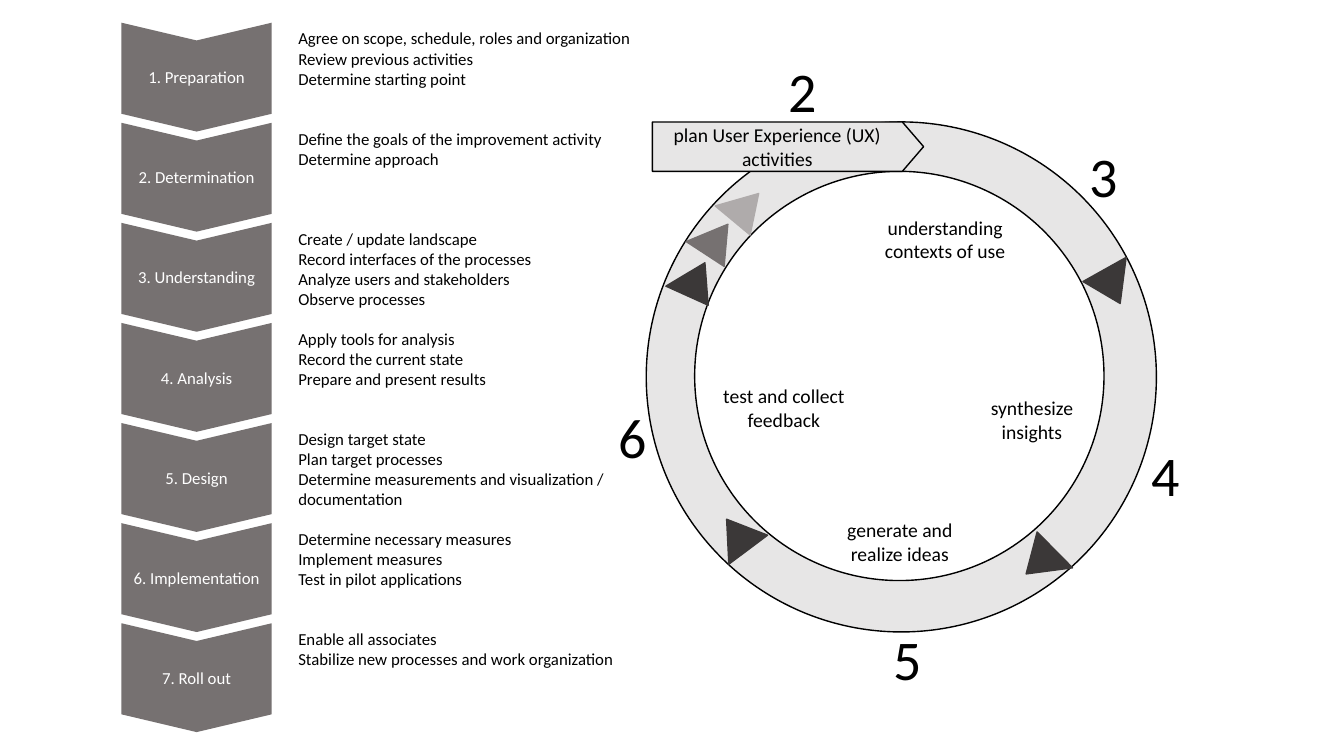
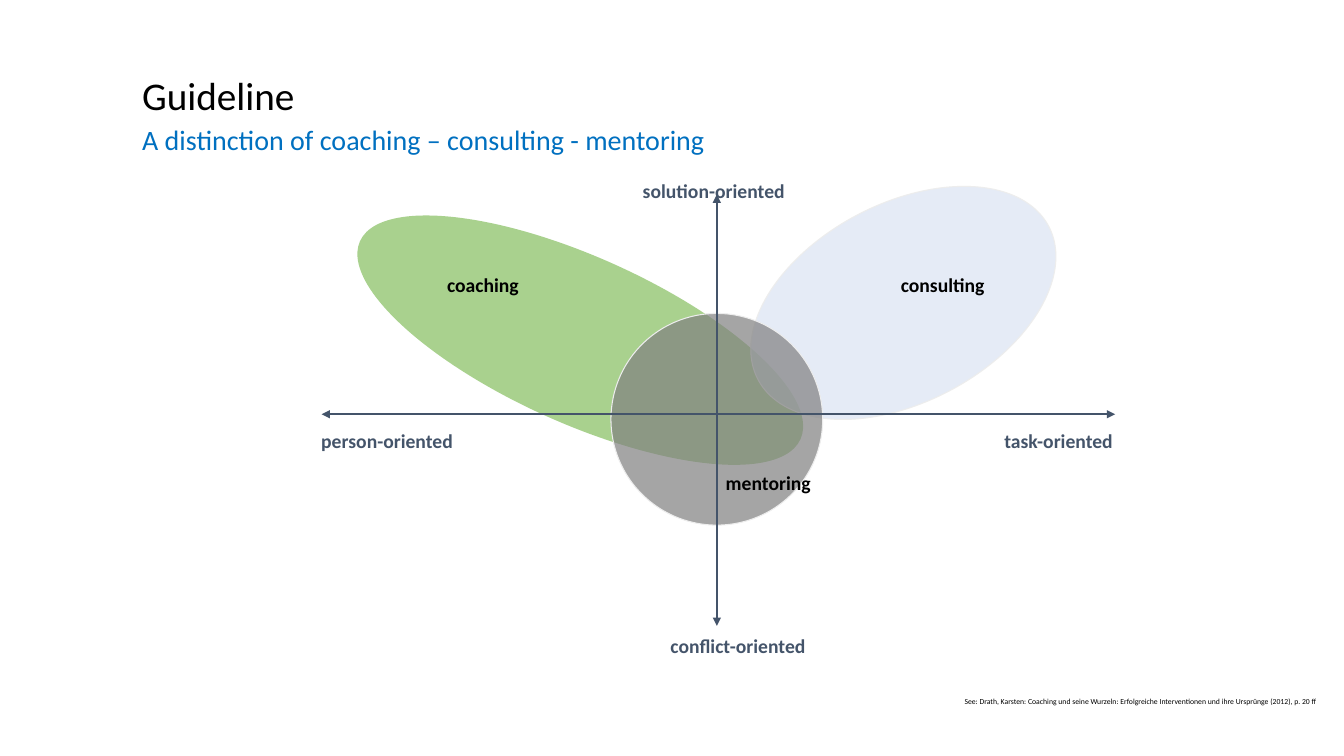
from lxml.etree import SubElement
from pptx import Presentation
from pptx.dml.color import RGBColor
from pptx.enum.shapes import MSO_CONNECTOR, MSO_SHAPE
from pptx.enum.text import MSO_ANCHOR, MSO_AUTO_SIZE, PP_ALIGN
from pptx.oxml.ns import qn
from pptx.util import Inches, Pt

FONT = "Calibri"
COLORS = {
    "black": "000000", "white": "FFFFFF", "ring": "E7E6E6",
    "dark": "3B3838", "gray": "767171", "light": "AFABAB",
    "green": "A9D18E", "pale": "DAE3F3", "mid": "808080",
    "edge": "EDEDED", "slate": "44546A", "blue": "0070C0",
}

PHASES = [
    ("1. Preparation", ["Agree on scope, schedule, roles and organization",
                        "Review previous activities", "Determine starting point"]),
    ("2. Determination", ["Define the goals of the improvement activity",
                          "Determine approach"]),
    ("3. Understanding", ["Create / update landscape",
                          "Record interfaces of the processes",
                          "Analyze users and stakeholders", "Observe processes"]),
    ("4. Analysis", ["Apply tools for analysis", "Record the current state",
                     "Prepare and present results"]),
    ("5. Design", ["Design target state", "Plan target processes",
                   "Determine measurements and visualization / documentation"]),
    ("6. Implementation", ["Determine necessary measures", "Implement measures",
                           "Test in pilot applications"]),
    ("7. Roll out", ["Enable all associates",
                     "Stabilize new processes and work organization"]),
]
PITCH = 0.993  # distance from one phase to the next

PLAN = "plan User Experience (UX) activities"
# text, left, top, width
STEPS = [
    ("understanding contexts of use", 8.41, 2.09, 1.93),
    ("synthesize insights", 9.45, 3.88, 1.57),
    ("generate and realize ideas", 8.14, 5.09, 1.57),
    ("test and collect feedback", 6.85, 3.76, 1.85),
]
# digit, left, top
NUMBERS = [("2", 7.72, 0.51), ("3", 10.71, 1.36), ("4", 11.32, 4.32),
           ("5", 8.76, 6.15), ("6", 6.04, 3.94)]
# left, top, width, turn, tip, colour
TIPS = [
    (10.8, 2.65, 0.49, 150.8, 0.56, "dark"),
    (10.08, 5.4, 0.5, 225.4, 0.56, "dark"),
    (7.07, 5.12, 0.48, 323.2, 0.52, "dark"),
    (6.66, 2.58, 0.46, 24.3, 0.56, "dark"),
    (6.87, 2.18, 0.45, 33.2, 0.56, "gray"),
    (7.16, 1.86, 0.45, 39.8, 0.56, "light"),
]

TITLE = "Guideline"
SUBTITLE = "A distinction of coaching – consulting - mentoring"
SOURCE = ("See: Drath, Karsten: Coaching und seine Wurzeln: Erfolgreiche "
          "Interventionen und ihre Ursprünge (2012), p. 20 ff")
# box, turn, fill, opacity in percent, edge
FIELDS = [
    ((3.36, 2.55, 4.79, 1.65), 24.2, "green", 100, None),
    ((7.33, 2.02, 3.26, 1.97), 332.2, "pale", 70, "edge"),
    ((6.06, 3.11, 2.1, 2.1), 0, "mid", 70, "edge"),
]
AXES = [(7.11, 6.21, 7.11, 1.93), (3.19, 4.11, 11.06, 4.11)]
# text, centre x, centre y, colour
LABELS = [
    ("task-oriented", 10.5, 4.37, "slate"),
    ("person-oriented", 3.84, 4.37, "slate"),
    ("solution-oriented", 7.08, 1.89, "slate"),
    ("conflict-oriented", 7.32, 6.41, "slate"),
    ("consulting", 9.35, 2.82, "black"),
    ("coaching", 4.79, 2.82, "black"),
    ("mentoring", 7.62, 4.79, "black"),
]


def color(name):
    return RGBColor.from_string(COLORS[name])


def write(shape, lines, size, ink="black", align=PP_ALIGN.LEFT, bold=False,
          anchor=MSO_ANCHOR.TOP, inset=None, wrap=True, spacing=None):
    frame = shape.text_frame
    frame.text = "\n".join(lines)
    frame.auto_size = MSO_AUTO_SIZE.NONE
    frame.word_wrap = wrap
    frame.vertical_anchor = anchor
    if inset is not None:
        frame.margin_left = frame.margin_right = Inches(inset)
        frame.margin_top = frame.margin_bottom = Inches(inset)
    for para in frame.paragraphs:
        para.alignment = align
        if spacing:
            para.line_spacing = spacing
        font = para.font
        font.name, font.size, font.bold = FONT, Pt(size), bold
        font.color.rgb = color(ink)


def text(slide, box, lines, size, **style):
    shape = slide.shapes.add_textbox(*map(Inches, box))
    write(shape, lines, size, **style)


def draw(slide, kind, box, fill, edge=None, width=1, turn=0, adjust=()):
    shape = slide.shapes.add_shape(kind, *map(Inches, box))
    shape.shadow.inherit = False
    shape.rotation = turn
    for i, value in enumerate(adjust):
        shape.adjustments[i] = value
    shape.fill.solid()
    shape.fill.fore_color.rgb = color(fill)
    if edge:
        shape.line.color.rgb = color(edge)
        shape.line.width = Pt(width)
    else:
        shape.line.fill.background()
    return shape


def fade(shape, percent):
    """Set the opacity of a solid fill."""
    tint = shape.fill._xPr.find(qn("a:solidFill")).find(qn("a:srgbClr"))
    SubElement(tint, qn("a:alpha"), val=str(percent * 1000))


def axis(slide, ends):
    """Draw a line with an arrowhead at both ends."""
    line = slide.shapes.add_connector(MSO_CONNECTOR.STRAIGHT, *map(Inches, ends))
    line.line.color.rgb = color("slate")
    line.line.width = Pt(1.5)
    for end in ("a:headEnd", "a:tailEnd"):
        SubElement(line.line._get_or_add_ln(), qn(end), type="triangle")
    SubElement(line._element.spPr, qn("a:effectLst"))


def cycle(deck):
    slide = deck.slides.add_slide(deck.slide_layouts[6])
    for left, size, fill in ((6.41, 5.06, "ring"), (6.89, 4.06, "white")):
        top = 1.21 if fill == "ring" else 1.7
        draw(slide, MSO_SHAPE.OVAL, (left, top, size, size), fill, "black")
    plan = draw(slide, MSO_SHAPE.RIGHT_ARROW, (6.47, 1.21, 2.69, 0.49), "ring",
                "black", adjust=(1, 0.43))
    write(plan, [PLAN], 14, align=PP_ALIGN.CENTER, anchor=MSO_ANCHOR.MIDDLE)
    for step, left, top, width in STEPS:
        text(slide, (left, top, width, 0.57), [step], 14, align=PP_ALIGN.CENTER)
    for left, top, width, turn, tip, shade in TIPS:
        draw(slide, MSO_SHAPE.ISOSCELES_TRIANGLE, (left, top, width, 0.37),
             shade, shade, turn=turn, adjust=(tip,))
    for digit, left, top in NUMBERS:
        text(slide, (left, top, 0.43, 0.77), [digit], 40)
    for row, (name, tasks) in enumerate(PHASES):
        shift = row * PITCH
        phase = draw(slide, MSO_SHAPE.CHEVRON, (1.41, 0.02 + shift, 1.08, 1.49),
                     "gray", turn=90, adjust=(0.163,))
        write(phase, [name], 12, ink="white", align=PP_ALIGN.CENTER,
              anchor=MSO_ANCHOR.MIDDLE)
        phase.text_frame._txBody.bodyPr.set("vert", "vert270")
        text(slide, (2.86, 0.23 + shift, 3.98, 0.91), tasks, 12)


def guide(deck):
    slide = deck.slides.add_slide(deck.slide_layouts[5])
    title = slide.shapes.title
    title.left, title.top, title.width, title.height = map(
        Inches, (1.41, 0.76, 11.42, 0.42))
    write(title, [TITLE], 28, inset=0, spacing=0.89)
    text(slide, (1.41, 1.19, 11.22, 0.43), [SUBTITLE], 20, ink="blue",
         inset=0, spacing=1.07)
    for box, turn, fill, percent, edge in FIELDS:
        field = draw(slide, MSO_SHAPE.OVAL, box, fill, edge, 0.75, turn)
        if percent < 100:
            fade(field, percent)
    for ends in AXES:
        axis(slide, ends)
    for label, x, y, ink in LABELS:
        text(slide, (x - 0.65, y - 0.15, 1.3, 0.3), [label], 14, ink=ink,
             align=PP_ALIGN.CENTER, bold=True, anchor=MSO_ANCHOR.MIDDLE,
             inset=0, wrap=False)
    text(slide, (1.83, 6.75, 11.23, 0.26), [SOURCE], 5.5, align=PP_ALIGN.RIGHT,
         anchor=MSO_ANCHOR.BOTTOM, inset=0, spacing=0.89)


def main():
    deck = Presentation()
    deck.slide_width, deck.slide_height = Inches(13.33), Inches(7.5)
    cycle(deck)
    guide(deck)
    deck.save("out.pptx")


if __name__ == "__main__":
    main()
